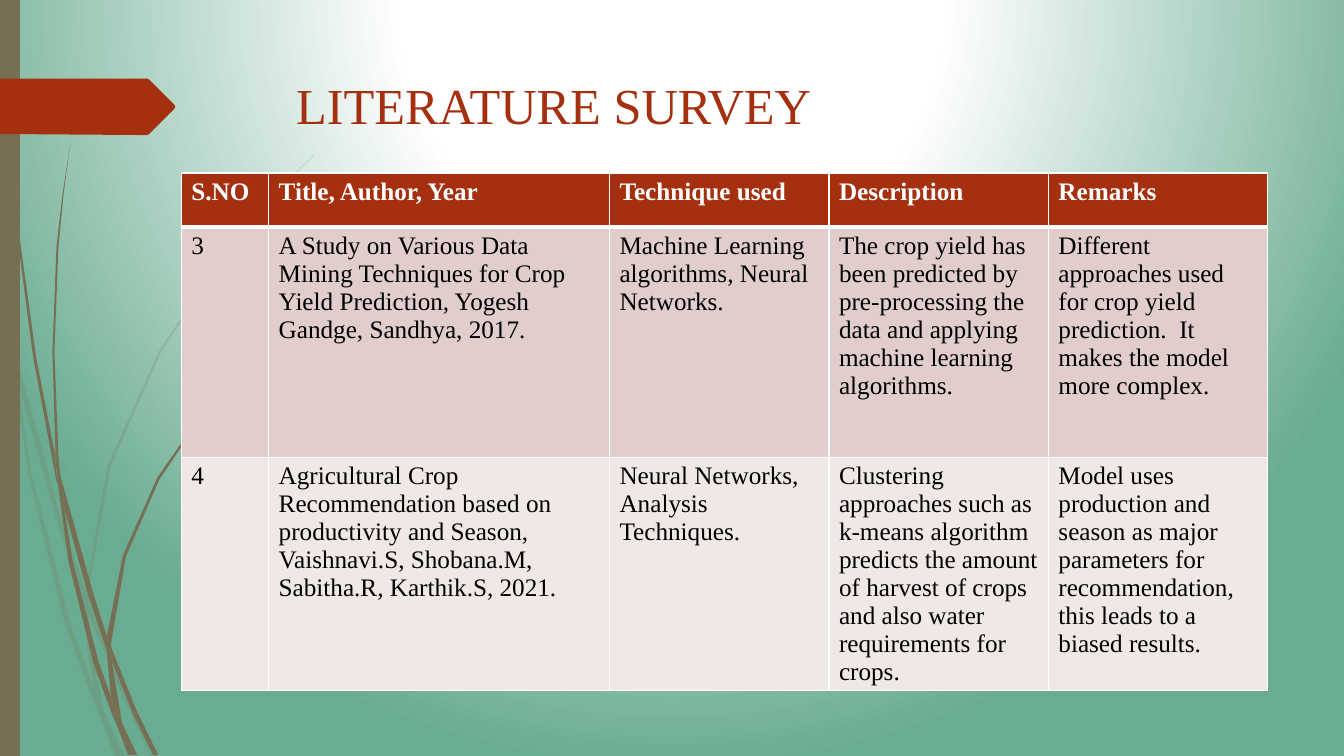
from pptx import Presentation
from pptx.dml.color import RGBColor
from pptx.enum.shapes import MSO_SHAPE
from pptx.enum.text import MSO_ANCHOR, PP_ALIGN
from pptx.oxml import parse_xml
from pptx.oxml.ns import nsdecls, qn
from pptx.util import Cm, Pt

RECTANGLE = MSO_SHAPE.RECTANGLE
TOP, LEFT = MSO_ANCHOR.TOP, PP_ALIGN.LEFT

WHITE = RGBColor(0xFF, 0xFF, 0xFF)
BLACK = RGBColor(0, 0, 0)
GREEN = RGBColor(0x6A, 0xAC, 0x91)
OLIVE = RGBColor(0x76, 0x6F, 0x54)
RUST = RGBColor(0xA5, 0x30, 0x10)
ROSE = RGBColor(0xE1, 0xCD, 0xCC)
PALE_ROSE = RGBColor(0xF0, 0xE8, 0xE7)
FONT = "Times New Roman"

SLIDE_WIDTH, SLIDE_HEIGHT = 33.87, 19.05
OUTLINE_UNIT = 2.54  # cm per unit of the outlines below

FAINT_GRASS = [
    [(.11, 3.5), (.09, 3.22), (0, 2.82), (0, 2.99), (.1, 3.44)],
    [(.58, 5.22), (.84, 5.99), (.85, 5.86), (.62, 5.2), (.14, 3.45), (.17, 3.76)],
    [(.92, 6.07), (.88, 5.96), (.88, 6.1), (1.23, 6.94), (1.5, 7.51), (1.55, 7.51),
     (1.27, 6.92)],
    [(1.19, 7.51), (1.24, 7.51), (1.05, 7.11)],
    [(.93, 6.83), (.7, 6.19), (.31, 4.69), (.17, 3.76), (.11, 3.5), (.28, 4.7),
     (.65, 6.21), (.92, 6.93), (1.01, 7.14), (.99, 7.07)],
    [(.84, 5.99), (.87, 6.46), (.93, 6.83), (.96, 6.92), (1.05, 7.11), (1.03, 7.06),
     (.91, 6.46), (.88, 6.1), (.88, 6.08)],
    [(.88, 5.84), (1.1, 4.62), (1.6, 3.49), (2.29, 2.45), (2.68, 1.98), (2.9, 1.75),
     (3.12, 1.54), (3.12, 1.53), (2.89, 1.75), (2.68, 1.97), (2.28, 2.44),
     (1.58, 3.48), (1.07, 4.61), (.85, 5.84), (.85, 5.86), (.88, 5.96)],
    [(1.01, 7.14), (1.14, 7.51), (1.19, 7.51)],
    [(.88, 6.08), (.88, 6.1), (.88, 5.96), (.85, 5.86), (.84, 5.99)],
    [(.96, 6.92), (.93, 6.83), (.99, 7.07), (1.01, 7.14), (1.19, 7.51), (1.05, 7.11)],
]
DARK_GRASS = [
    [(.07, 1.1), (.17, 2.33), (.33, 3.55), (.56, 4.77), (.57, 4.81), (.55, 4.57),
     (.55, 4.53), (.36, 3.55), (.19, 2.32), (.08, 1.09), (.05, .48), (.04, 0),
     (.03, 0), (.04, .48)],
    [(.88, 5.92), (1.06, 6.45), (1.06, 6.31), (.93, 5.9), (.6, 4.72), (.64, 5.05)],
    [(1.13, 6.49), (1.1, 6.41), (1.11, 6.56), (1.32, 7.08), (1.52, 7.49),
     (1.57, 7.49), (1.36, 7.06)],
    [(1.1, 6.91), (.98, 6.57), (.72, 5.56), (.64, 5.05), (.57, 4.77), (.68, 5.57),
     (.93, 6.59), (1.11, 7.08), (1.17, 7.22), (1.16, 7.17)],
    [(.6, 4.72), (.58, 4.53), (.54, 3.49), (.58, 2.45), (.63, 1.93), (.7, 1.41),
     (.62, 1.93), (.56, 2.45), (.52, 3.49), (.55, 4.49)],
    [(1.33, 7.49), (1.36, 7.49), (1.22, 7.19)],
    [(.57, 4.77), (.64, 5.05), (.6, 4.72), (.55, 4.49), (.55, 4.53)],
    [(1.11, 6.33), (1.25, 5.52), (1.58, 4.76), (2.05, 4.06), (2.31, 3.74),
     (2.45, 3.59), (2.61, 3.44), (2.6, 3.44), (2.45, 3.58), (2.31, 3.73),
     (2.04, 4.05), (1.56, 4.74), (1.22, 5.51), (1.06, 6.31), (1.1, 6.41)],
    [(1.17, 7.22), (1.27, 7.49), (1.31, 7.49)],
    [(1.06, 6.45), (1.1, 6.91), (1.16, 7.06), (1.22, 7.19), (1.21, 7.16),
     (1.11, 6.56), (1.09, 6.51)],
    [(1.06, 6.45), (1.09, 6.51), (1.11, 6.56), (1.1, 6.41), (1.06, 6.31)],
    [(1.16, 7.06), (1.1, 6.91), (1.16, 7.17), (1.17, 7.22), (1.3, 7.49),
     (1.33, 7.49), (1.22, 7.19)],
]
ARROW_TAB = [(1.74, 1.06), (1.73, 1.08), (1.48, 1.33), (1.46, 1.34), (1.36, 1.34),
             (0, 1.33), (0, .78), (1.46, .78), (1.48, .79), (1.73, 1.04)]

COLUMN_WIDTHS = [2.2, 8.59, 5.53, 5.53, 5.53]
ROW_HEIGHTS = [1.36, 5.8, 5.8]
ROW_FILLS = [RUST, ROSE, PALE_ROSE]
SURVEY = [
    ["S.NO", "Title, Author, Year", "Technique used", "Description", "Remarks"],
    ["3",
     "A Study on Various Data Mining Techniques for Crop Yield Prediction, "
     "Yogesh Gandge, Sandhya, 2017.",
     "Machine Learning algorithms, Neural Networks.",
     "The crop yield has been predicted by pre-processing the data and applying "
     "machine learning algorithms.",
     "Different approaches used for crop yield prediction.  It makes the model "
     "more complex."],
    ["4",
     "Agricultural Crop Recommendation based on productivity and Season, "
     "Vaishnavi.S, Shobana.M, Sabitha.R, Karthik.S, 2021.",
     "Neural Networks, Analysis Techniques.",
     "Clustering approaches such as k-means algorithm predicts the amount of "
     "harvest of crops and also water requirements for crops.",
     "Model uses production and season as major parameters for recommendation, "
     "this leads to a biased results."],
]


def set_background(slide):
    """Fill the background with a circular gradient from white to green."""
    slide.background.fill.solid()
    properties = slide.element.find(".//" + qn("p:bgPr"))
    stops = "".join(
        f'<a:gs pos="{percent * 1000}"><a:srgbClr val="{color}"/></a:gs>'
        for percent, color in [(0, WHITE), (35, WHITE), (100, GREEN)])
    properties[0] = parse_xml(
        f'<a:gradFill {nsdecls("a")} rotWithShape="1"><a:gsLst>{stops}</a:gsLst>'
        '<a:path path="circle"><a:fillToRect l="50000" t="-80000" r="50000" '
        'b="180000"/></a:path></a:gradFill>')


def paint(shape, color, opacity=100):
    """Give a shape a plain fill without line or shadow."""
    shape.shadow.inherit = False
    shape.line.fill.background()
    shape.fill.solid()
    shape.fill.fore_color.rgb = color
    if opacity < 100:
        shape.element.spPr.find(".//" + qn("a:srgbClr")).append(
            parse_xml(f'<a:alpha {nsdecls("a")} val="{opacity * 1000}"/>'))


def add_outline(slide, left, top, outline, color, opacity=100):
    """Draw a filled outline relative to the given corner."""
    corners = [(Cm(left + x * OUTLINE_UNIT), Cm(top + y * OUTLINE_UNIT))
               for x, y in outline]
    builder = slide.shapes.build_freeform(*corners[0])
    builder.add_line_segments(corners[1:], close=True)
    paint(builder.convert_to_shape(), color, opacity)


def add_side_decor(slide, left, top, height):
    """Draw the grass, the side bar and the arrow tab at the left edge."""
    for grass, opacity in [(FAINT_GRASS, 20), (DARK_GRASS, 100)]:
        for blade in grass:
            add_outline(slide, left, top, blade, OLIVE, opacity)
    bar = slide.shapes.add_shape(RECTANGLE, Cm(left), Cm(top), Cm(0.5), Cm(height))
    paint(bar, OLIVE)
    add_outline(slide, left, top, ARROW_TAB, RUST)


def format_text(text_frame, size, color, bold=False):
    """Format every run of a text frame."""
    for paragraph in text_frame.paragraphs:
        paragraph.alignment = LEFT
        for run in paragraph.runs:
            run.font.name, run.font.size = FONT, Pt(size)
            run.font.bold, run.font.color.rgb = bold, color


def add_title(slide, left, top, width, height):
    """Place the title in its placeholder."""
    title = slide.shapes.title
    title.left, title.top = Cm(left), Cm(top)
    title.width, title.height = Cm(width), Cm(height)
    title.text_frame.text = "LITERATURE SURVEY"
    title.text_frame.vertical_anchor = TOP
    format_text(title.text_frame, 36, RUST)
    slide.shapes.element.append(title.element)


def set_borders(cell, top, bottom):
    """Draw white borders, with top and bottom widths in points."""
    properties = cell._tc.get_or_add_tcPr()
    for side, width in [("L", 1), ("R", 1), ("T", top), ("B", bottom)]:
        properties.append(parse_xml(
            f'<a:ln{side} {nsdecls("a")} w="{Pt(width)}"><a:solidFill>'
            f'<a:srgbClr val="{WHITE}"/></a:solidFill></a:ln{side}>'))


def add_survey_table(slide, left, top):
    """Build the survey table from the given corner."""
    table = slide.shapes.add_table(
        len(ROW_HEIGHTS), len(COLUMN_WIDTHS), Cm(left), Cm(top),
        Cm(sum(COLUMN_WIDTHS)), Cm(sum(ROW_HEIGHTS))).table
    for column, width in zip(table.columns, COLUMN_WIDTHS):
        column.width = Cm(width)
    for index, (row, height, texts) in enumerate(zip(table.rows, ROW_HEIGHTS, SURVEY)):
        row.height = Cm(height)
        header = index == 0
        for cell, text in zip(row.cells, texts):
            set_borders(cell, 3 if index == 1 else 1, 3 if header else 1)
            cell.fill.solid()
            cell.fill.fore_color.rgb = ROW_FILLS[index]
            cell.text_frame.text = text
            format_text(cell.text_frame, 18, WHITE if header else BLACK, header)


def main():
    """Build and save the slide."""
    presentation = Presentation()
    presentation.slide_width = Cm(SLIDE_WIDTH)
    presentation.slide_height = Cm(SLIDE_HEIGHT)
    slide = presentation.slides.add_slide(
        presentation.slide_layouts.get_by_name("Title Only"))
    set_background(slide)
    add_side_decor(slide, 0, 0, SLIDE_HEIGHT)
    add_title(slide, 7.21, 1.73, 24.77, 3.56)
    add_survey_table(slide, 4.57, 4.36)
    presentation.save("out.pptx")


main()
